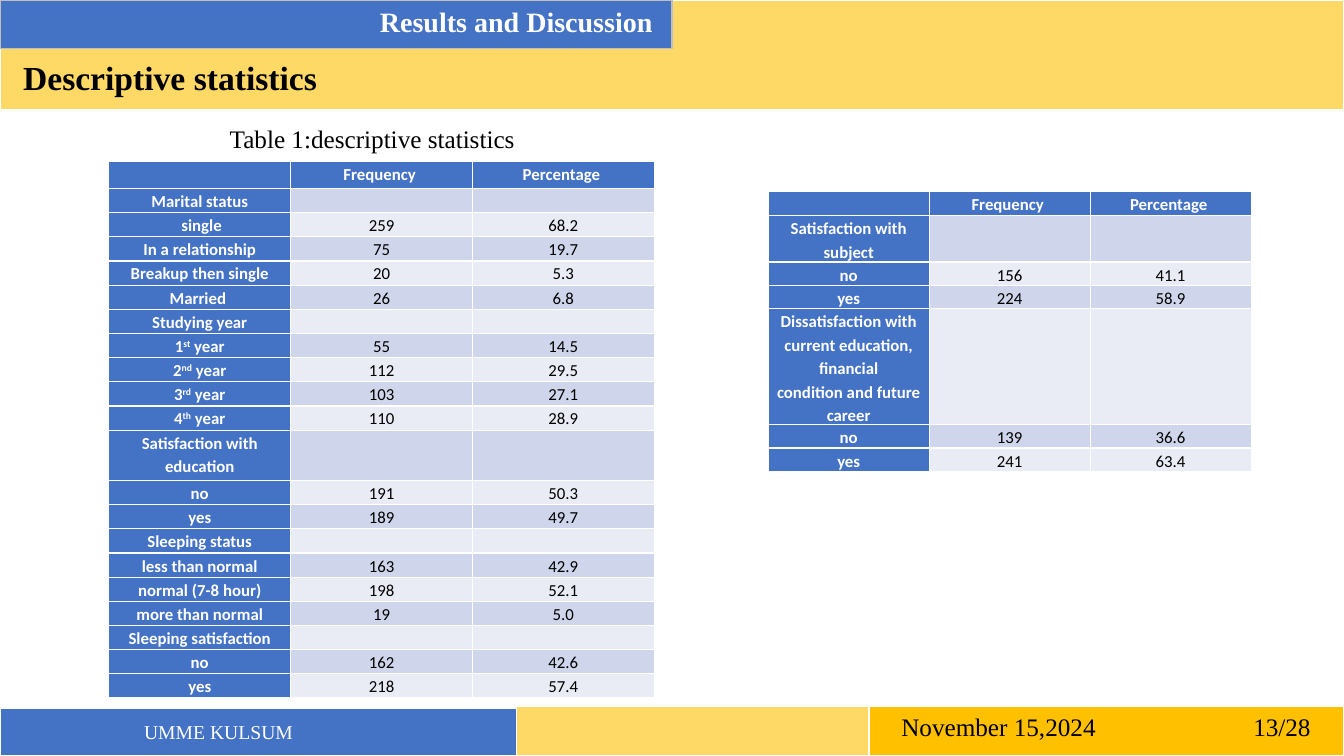
"""Build the descriptive statistics slide with its two frequency tables."""
from lxml.etree import SubElement
from pptx import Presentation
from pptx.dml.color import RGBColor
from pptx.enum.shapes import MSO_SHAPE
from pptx.enum.text import MSO_AUTO_SIZE, PP_ALIGN
from pptx.oxml.ns import qn
from pptx.util import Inches, Pt

prs = Presentation()
prs.slide_width, prs.slide_height = Inches(13.33), Inches(7.5)
COL, ROW = prs.slide_width / 100, prs.slide_height / 100
BLUE, YELLOW, GOLD = "4472C4", "FFD966", "FFC000"
WHITE, BLACK, GREY = "FFFFFF", "000000", "BFBFBF"
BANDS = ["E9EBF5", "CFD5EA"]


def rgb(color):
    return RGBColor.from_string(color)


def box(left, top, width, height):
    return int(left * COL), int(top * ROW), int(width * COL), int(height * ROW)


s = prs.slides.add_slide(prs.slide_layouts[6])

bars = [
    ((0, 0, 100, 14.53), YELLOW, WHITE),
    ((0, 0, 50, 6.4), BLUE, GREY),
    ((0, 93.73, 38.48, 6.27), BLUE, WHITE),
    ((38.41, 93.47, 26.33, 6.53), YELLOW, WHITE),
    ((64.67, 93.47, 35.33, 6.53), GOLD, WHITE),
]
for place, fill, line in bars:
    sp = s.shapes.add_shape(MSO_SHAPE.RECTANGLE, *box(*place))
    sp.shadow.inherit = False
    sp.fill.solid()
    sp.fill.fore_color.rgb = rgb(fill)
    sp.line.color.rgb = rgb(line)
    sp.line.width = Pt(1)

labels = [
    ("Results and Discussion", (27.53, 0, 23.48, 10.27), WHITE, {"size": Pt(20), "bold": True}),
    ("Descriptive statistics", (0.98, 6.93, 30.76, 6.67), BLACK, {"size": Pt(24), "bold": True}),
    ("UMME KULSUM", (9.98, 94.53, 26.33, 4.53), WHITE, {"size": Pt(14)}),
    ("November 15,2024\t13/28", (66.32, 93.47, 32.48, 5.33), BLACK, {"size": Pt(18)}),
    ("Table 1:descriptive statistics", (16.35, 15.6, 24.61, 5.33), BLACK, {"size": Pt(18)}),
]
for text, place, color, style in labels:
    tf = s.shapes.add_textbox(*box(*place)).text_frame
    tf.word_wrap = True
    tf.auto_size = MSO_AUTO_SIZE.SHAPE_TO_FIT_TEXT
    p = tf.paragraphs[0]
    r = p.add_run()
    r.text = text
    r.font.color.rgb = rgb(color)
    for name, value in {"name": "Times New Roman", **style}.items():
        setattr(r.font, name, value)
    if "\t" in text:
        tabs = SubElement(p._p.get_or_add_pPr(), qn("a:tabLst"))
        SubElement(tabs, qn("a:tab"), pos=str(int(30.46 * COL)), algn="r")

HEADER = ("", "Frequency ", "Percentage ")
student_rows = [
    HEADER,
    ("Marital status", "", ""),
    (" single", "259", "68.2"),
    ("In a relationship", "75", "19.7"),
    ("Breakup then single", "20", "5.3"),
    ("Married ", "26", "6.8"),
    ("Studying year", "", ""),
    ("1^st^ year", "55", "14.5"),
    ("2^nd^ year", "112", "29.5"),
    ("3^rd^ year", "103", "27.1"),
    ("4^th^ year", "110", "28.9"),
    ("Satisfaction with education", "", ""),
    ("no", "191", "50.3"),
    ("yes", "189", "49.7"),
    ("Sleeping status", "", ""),
    ("less than normal", "163", "42.9"),
    ("normal (7-8 hour)", "198", "52.1"),
    ("more than normal", "19", "5.0"),
    ("Sleeping satisfaction", "", ""),
    ("no", "162", "42.6"),
    ("yes", "218", "57.4"),
]
subject_rows = [
    HEADER,
    ("Satisfaction with subject", "", ""),
    ("no", "156", "41.1"),
    ("yes", "224", "58.9"),
    ("Dissatisfaction with current education, financial\ncondition and future career", "", ""),
    ("no", "139", "36.6"),
    ("yes", "241", "63.4"),
]
tables = [
    (student_rows, (8.1, 21.33, 40.58, 71.07), 3.2, {0: 3.6, 11: 6.67}),
    (subject_rows, (57.16, 25.33, 35.93, 37), 3.07, {0: 3.2, 1: 6.13, 4: 15.4}),
]
cell_format = {
    "margin_left": Inches(0.07),
    "margin_right": Inches(0.07),
    "margin_top": 0,
    "margin_bottom": 0,
}
for rows, place, height, tall in tables:
    table = s.shapes.add_table(len(rows), len(HEADER), *box(*place)).table
    table.first_col = True
    for i, row in enumerate(rows):
        table.rows[i].height = int(tall.get(i, height) * ROW)
        for j, text in enumerate(row):
            cell = table.cell(i, j)
            heading = i == 0 or j == 0
            for name, value in cell_format.items():
                setattr(cell, name, value)
            cell.fill.solid()
            cell.fill.fore_color.rgb = rgb(BLUE if heading else BANDS[i % 2])
            tf = cell.text_frame
            for k, line in enumerate(text.split("\n")):
                p = tf.add_paragraph() if k else tf.paragraphs[0]
                p.alignment = PP_ALIGN.CENTER
                p.line_spacing = 1.15
                if not line:
                    p._p.get_or_add_endParaRPr().set("sz", "1200")
                    continue
                for n, part in enumerate(line.split("^")):
                    r = p.add_run()
                    r.text = part
                    r.font.color.rgb = rgb(WHITE if heading else BLACK)
                    for name, value in {"name": "Calibri", "size": Pt(12), "bold": heading}.items():
                        setattr(r.font, name, value)
                    if n % 2:
                        r.font._element.set("baseline", "30000")

prs.save("out.pptx")
